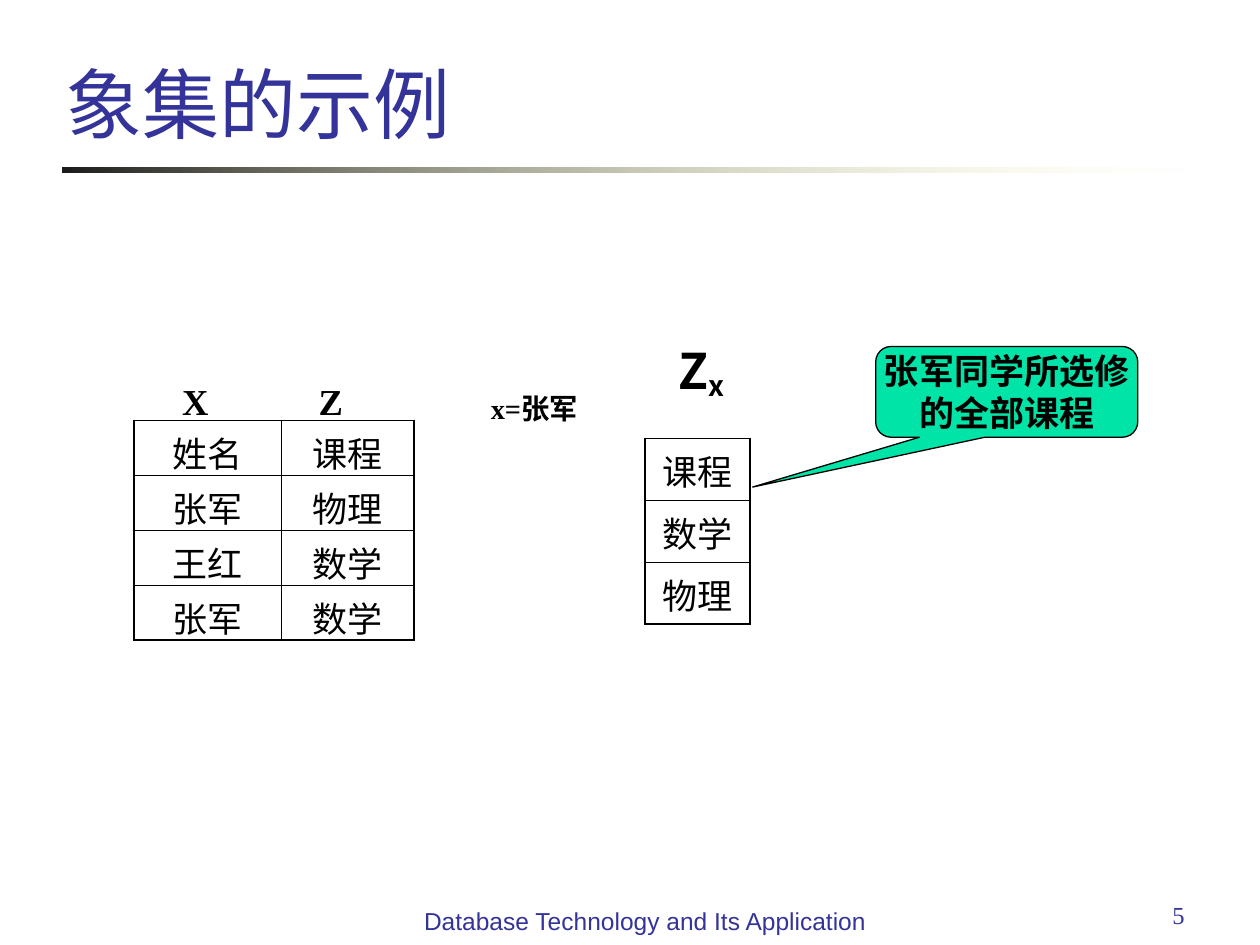
from lxml import etree
from pptx import Presentation
from pptx import util as u
from pptx.dml.color import RGBColor
from pptx.enum import shapes, text
from pptx.oxml import ns

COLORS = {"navy": "333399", "black": "000000", "green": "00E4A8",
          "rule_dark": "1C1C1C", "rule_light": "FFFFB7"}
SERIF, SANS, CJK = "Times New Roman", "Arial", "Noto Sans CJK SC"
ALIGN = text.PP_ALIGN
ANCHOR = text.MSO_ANCHOR


def color(name):
    return RGBColor.from_string(COLORS[name])


def add_child(parent, tag, **attributes):
    return etree.SubElement(parent, ns.qn(tag), attributes)


def write(frame, *parts, size=20, font=SERIF, ink="black", bold=False,
          align=ALIGN.CENTER, before=0, tab=None):
    """Fill a frame with one paragraph; each part is (words, baseline percent)."""
    para = frame.paragraphs[0]
    para.alignment = align
    para.space_before = u.Pt(before)
    if tab:
        stops = add_child(para._p.get_or_add_pPr(), "a:tabLst")
        add_child(stops, "a:tab", pos=str(u.Pt(tab)), algn="l")
    for words, baseline in parts:
        span = para.add_run()
        span.text = words
        span.font.size = u.Pt(size)
        span.font.name = font
        span.font.bold = bold
        span.font.color.rgb = color(ink)
        add_child(span._r.rPr, "a:ea", typeface=CJK)
        if baseline:
            span._r.rPr.set("baseline", str(baseline * 1000))


def set_margins(frame, left, top, right, bottom):
    frame.margin_left, frame.margin_top = u.Pt(left), u.Pt(top)
    frame.margin_right, frame.margin_bottom = u.Pt(right), u.Pt(bottom)


class SlideBuilder:
    outer_line = 1.08
    inner_line = 0.45

    def __init__(self, page):
        self.page = page

    def label(self, at, *parts, margins=(7.2, 3.6, 7.2, 3.6),
              anchor=ANCHOR.TOP, **style):
        box = self.page.shapes.add_textbox(*map(u.Pt, at))
        frame = box.text_frame
        frame.word_wrap = True
        frame.vertical_anchor = anchor
        set_margins(frame, *margins)
        write(frame, *parts, **style)

    def shape(self, kind, at):
        shape = self.page.shapes.add_shape(kind, *map(u.Pt, at))
        shape.shadow.inherit = False
        return shape

    def fading_rule(self, at):
        rule = self.shape(shapes.MSO_SHAPE.RECTANGLE, at)
        rule.line.fill.background()
        rule.fill.gradient()
        rule.fill.gradient_angle = 0
        for stop, name, place in zip(rule.fill.gradient_stops,
                                     ("rule_dark", "rule_light"), (0, 1)):
            stop.color.rgb = color(name)
            stop.position = place
        last = rule._element.spPr.findall(".//" + ns.qn("a:srgbClr"))[-1]
        add_child(last, "a:alpha", val="0")

    def callout(self, at, words, pointer, **style):
        bubble = self.shape(shapes.MSO_SHAPE.ROUNDED_RECTANGULAR_CALLOUT, at)
        for index, value in enumerate(pointer):
            bubble.adjustments[index] = value
        bubble.fill.solid()
        bubble.fill.fore_color.rgb = color("green")
        bubble.line.color.rgb = color("black")
        bubble.line.width = u.Pt(0.75)
        frame = bubble.text_frame
        frame.word_wrap = True
        frame.vertical_anchor = ANCHOR.MIDDLE
        set_margins(frame, 0, 0, 0, 0)
        write(frame, (words, 0), **style)

    def borders(self, cell, **outer):
        """Draw the four sides, heavier where a side lies on the table's edge."""
        properties = cell._tc.get_or_add_tcPr()
        for side in "LRTB":
            width = self.outer_line if outer[side] else self.inner_line
            line = add_child(properties, "a:ln" + side, w=str(u.Pt(width)))
            fill = add_child(line, "a:solidFill")
            add_child(fill, "a:srgbClr", val=COLORS["black"])

    def table(self, left, top, widths, row_height, rows):
        grid = self.page.shapes.add_table(
            len(rows), len(widths), u.Pt(left), u.Pt(top),
            u.Pt(sum(widths)), u.Pt(row_height * len(rows))).table
        grid.first_row = grid.horz_banding = False
        for column, width in zip(grid.columns, widths):
            column.width = u.Pt(width)
        for r, row in enumerate(rows):
            grid.rows[r].height = u.Pt(row_height)
            for c, words in enumerate(row):
                cell = grid.cell(r, c)
                set_margins(cell, 7.2, 3.6, 7.2, 3.6)
                write(cell.text_frame, (words, 0), font=SANS, before=5)
                self.borders(cell, L=c == 0, R=c == len(widths) - 1,
                             T=r == 0, B=r == len(rows) - 1)
                cell.fill.background()


def main():
    deck = Presentation()
    deck.slide_width, deck.slide_height = u.Pt(720), u.Pt(540)
    build = SlideBuilder(deck.slides.add_slide(deck.slide_layouts[6]))

    build.fading_rule((36, 95.75, 648, 2.75))
    build.label((30.25, 0, 632, 85), ("象集的示例", 0), size=44, font=SANS,
                ink="navy", align=ALIGN.LEFT, anchor=ANCHOR.BOTTOM,
                margins=(7.2, 3.6, 7.2, 0))

    build.label((80.65, 190.8, 138.25, 54.7), ("X\tZ", -20), size=36, bold=True,
                align=ALIGN.LEFT, before=22.5, tab=78,
                margins=(23.4, 3.6, 7.2, 3.6))
    build.callout((500.4, 198, 149.75, 51.85), "张军同学所选修的全部课程",
                  (-0.97, 1.05, 0.17), bold=True, before=12.5)
    build.label((266.4, 202.3, 77.75, 43.9), ("x=张军", -20), size=28,
                bold=True, before=17.5)
    build.label((362.15, 190.8, 77.75, 43.2), ("Z", 0), ("x", -16), size=28,
                font=CJK, bold=True, before=17.5)

    build.table(76.5, 240.25, (84, 76), 31.4,
                [("姓名", "课程"), ("张军", "物理"), ("王红", "数学"), ("张军", "数学")])
    build.table(368.65, 250.55, (60,), 35.4, [("课程",), ("数学",), ("物理",)])

    build.label((516.25, 510.5, 167.75, 37.45), ("5", 0), size=14, ink="navy",
                align=ALIGN.RIGHT)
    build.label((229.7, 514.1, 277.9, 37.45),
                ("Database Technology and Its Application", 0), size=14,
                font=SANS, ink="navy")
    deck.save("out.pptx")


if __name__ == "__main__":
    main()
